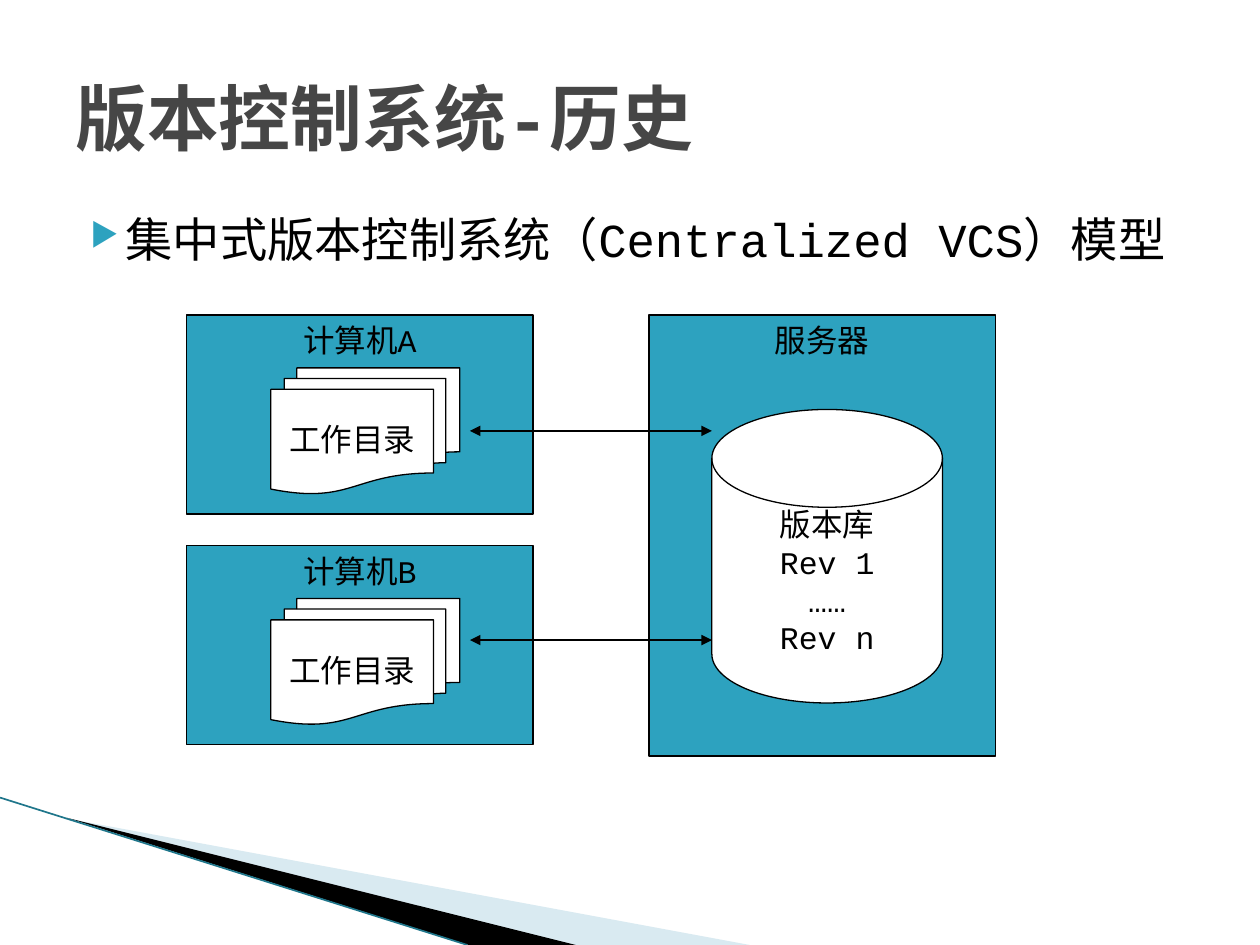
from lxml.etree import SubElement
from pptx import Presentation
from pptx.dml.color import RGBColor
from pptx.enum.shapes import MSO_CONNECTOR as Connector, MSO_SHAPE as Shape
from pptx.enum.text import MSO_ANCHOR as Anchor, PP_ALIGN as Align
from pptx.oxml.ns import qn
from pptx.util import Inches, Pt

COLORS = {"teal": "2DA2BF", "black": "000000", "white": "FFFFFF",
          "title": "464646", "pale": "A0CBDC", "edge": "1F768B"}
FONT = "Courier New"


def color(name):
    return RGBColor.from_string(COLORS[name])


def write(shape, lines, size=18, ink="black", bold=False, align=Align.CENTER,
          anchor=Anchor.TOP, wrap=False):
    frame = shape.text_frame
    for name, value in {"word_wrap": wrap, "vertical_anchor": anchor}.items():
        setattr(frame, name, value)
    for index, line in enumerate(lines):
        para = frame.add_paragraph() if index else frame.paragraphs[0]
        para.alignment = align
        span = para.add_run()
        span.text = line
        for name, value in {"name": FONT, "size": Pt(size), "bold": bold}.items():
            setattr(span.font, name, value)
        span.font.color.rgb = color(ink)


def add_text(page, left, top, width, height, text, **style):
    box = page.shapes.add_textbox(*map(Inches, (left, top, width, height)))
    write(box, [text], align=Align.LEFT, wrap=True, **style)
    return box


def add_bullet(para):
    para.space_before = Pt(4)
    props = para._p.get_or_add_pPr()
    props.set("marL", str(Inches(0.4)))
    props.set("indent", str(Inches(-0.28)))
    tint = SubElement(props, qn("a:buClr"))
    SubElement(tint, qn("a:srgbClr"), val=COLORS["teal"])
    SubElement(props, qn("a:buSzPct"), val="68000")
    SubElement(props, qn("a:buChar"), char="▶")


def add_node(page, kind, left, top, width, height, fill, lines, anchor=Anchor.TOP):
    node = page.shapes.add_shape(kind, *map(Inches, (left, top, width, height)))
    node.shadow.inherit = False
    node.fill.solid()
    node.fill.fore_color.rgb = color(fill)
    node.line.color.rgb = color("black")
    node.line.width = Pt(0.75)
    write(node, lines, anchor=anchor)


def add_line(page, start, end, ink, width, arrows=False):
    line = page.shapes.add_connector(Connector.STRAIGHT, *map(Inches, start + end))
    line.line.color.rgb = color(ink)
    line.line.width = Pt(width)
    SubElement(line._element.spPr, qn("a:effectLst"))
    if arrows:
        for tag in ("a:headEnd", "a:tailEnd"):
            SubElement(line.line._get_or_add_ln(), qn(tag), type="triangle")


def add_wedge(page, points, fill, opacity=100):
    first, *rest = [tuple(map(Inches, point)) for point in points]
    builder = page.shapes.build_freeform(*first)
    builder.add_line_segments(rest)
    wedge = builder.convert_to_shape()
    wedge.shadow.inherit = False
    wedge.fill.solid()
    wedge.fill.fore_color.rgb = color(fill)
    wedge.line.fill.background()
    if opacity < 100:
        tint = wedge._element.spPr.find(".//" + qn("a:srgbClr"))
        SubElement(tint, qn("a:alpha"), val=str(opacity * 1000))


def main():
    deck = Presentation()
    deck.slide_width, deck.slide_height = Inches(10), Inches(7.5)
    page = deck.slides.add_slide(deck.slide_layouts[6])

    # Corner decoration
    add_wedge(page, [(0.55, 6.5), (5.95, 7.5), (4.56, 7.5)], "pale", 40)
    add_wedge(page, [(0.53, 6.49), (4.57, 7.5), (3.72, 7.5)], "black")
    add_line(page, (0, 6.33), (3.71, 7.5), "edge", 0.95)

    # Heading and bullet
    body = add_text(page, 0.5, 1.62, 9, 4.95,
                    "集中式版本控制系统（Centralized VCS）模型", size=27)
    add_bullet(body.text_frame.paragraphs[0])
    add_text(page, 0.5, 0.3, 9, 1.25, "版本控制系统-历史", size=41,
             ink="title", bold=True, anchor=Anchor.MIDDLE)

    # Computers with their working directories
    for name, top in (("计算机A", 2.5), ("计算机B", 4.33)):
        add_node(page, Shape.RECTANGLE, 1.48, top, 2.75, 1.58, "teal", [name])
        add_node(page, Shape.FLOWCHART_MULTIDOCUMENT, 2.15, top + 0.42, 1.5, 1,
                 "white", ["工作目录"], Anchor.MIDDLE)

    # Server with the repository
    add_node(page, Shape.RECTANGLE, 5.15, 2.5, 2.75, 3.5, "teal", ["服务器"])
    add_node(page, Shape.FLOWCHART_MAGNETIC_DISK, 5.65, 3.25, 1.83, 2.33, "white",
             ["版本库", "Rev 1", "……", "Rev n"], Anchor.MIDDLE)

    # Exchange between computers and server
    for level in (3.42, 5.08):
        add_line(page, (3.73, level), (5.65, level), "black", 0.75, arrows=True)

    deck.save("out.pptx")


if __name__ == "__main__":
    main()
